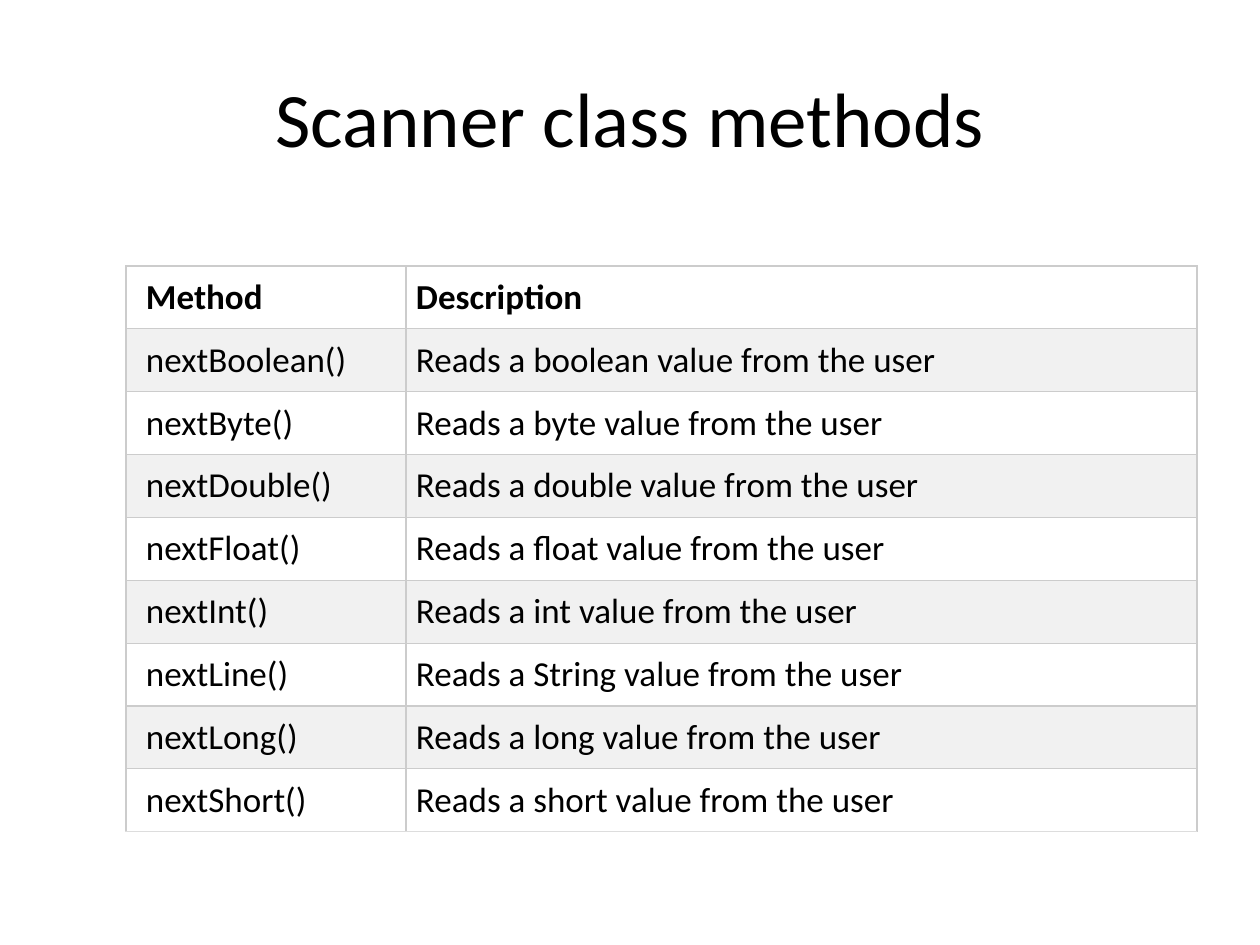
from dataclasses import dataclass

from lxml.etree import SubElement
from pptx import Presentation
from pptx.dml.color import RGBColor
from pptx.enum.text import MSO_ANCHOR, PP_ALIGN
from pptx.oxml.ns import qn
from pptx.slide import Slide
from pptx.table import _Cell
from pptx.util import Emu, Pt

EMU_PER_PX = 914400 / 126


@dataclass(frozen=True)
class Theme:
    font: str = "Calibri"
    text: str = "000000"
    plain_row: str = "FFFFFF"
    shaded_row: str = "F1F1F1"
    border: str = "CCCCCC"
    bottom_border: str = "DDDDDD"
    title_size: int = 44
    body_size: int = 20
    border_width: float = 0.75


@dataclass(frozen=True)
class Box:
    left: int
    top: int
    width: int
    height: int


@dataclass(frozen=True)
class MethodRow:
    method: str
    description: str


THEME = Theme()
SLIDE_BOX = Box(0, 0, 1260, 945)
TITLE_BOX = Box(63, 38, 1134, 157)
TABLE_BOX = Box(126, 266, 1071, 554)
COLUMN_WIDTHS = (280, 791)
ROW_HEIGHT = 55
CELL_MARGIN = 10
FIRST_COLUMN_MARGIN = 20

# The type name is held to its neighbours by no-break spaces.
VALUE_TYPES = ("boolean", "byte", "double", "float", "int", "String", "long", "short")
METHOD_NAMES = {"String": "nextLine()"}
ROWS = [MethodRow("Method", "Description")] + [
    MethodRow(
        METHOD_NAMES.get(value_type, f"next{value_type.capitalize()}()"),
        f"Reads a {value_type} value from the user",
    )
    for value_type in VALUE_TYPES
]


def px(length: int) -> Emu:
    return Emu(round(length * EMU_PER_PX))


def format_font(paragraph, size: int, bold: bool = False) -> None:
    font = paragraph.font
    font.name = THEME.font
    font.size = Pt(size)
    font.bold = bold
    font.color.rgb = RGBColor.from_string(THEME.text)


def add_borders(cell: _Cell, bottom_color: str) -> None:
    properties = cell._tc.get_or_add_tcPr()
    for side in ("L", "R", "T", "B"):
        line = SubElement(properties, qn(f"a:ln{side}"), w=str(Pt(THEME.border_width)))
        fill = SubElement(line, qn("a:solidFill"))
        color = bottom_color if side == "B" else THEME.border
        SubElement(fill, qn("a:srgbClr"), val=color)


def draw_title(slide: Slide, text: str, box: Box) -> None:
    title = slide.shapes.title
    title.left, title.top = px(box.left), px(box.top)
    title.width, title.height = px(box.width), px(box.height)
    title.text_frame.text = text
    title.text_frame.vertical_anchor = MSO_ANCHOR.MIDDLE
    paragraph = title.text_frame.paragraphs[0]
    paragraph.alignment = PP_ALIGN.CENTER
    format_font(paragraph, THEME.title_size)


def draw_cell(cell: _Cell, text: str, row: int, column: int) -> None:
    cell.text = text
    cell.margin_left = px(CELL_MARGIN if column else FIRST_COLUMN_MARGIN)
    cell.margin_right = cell.margin_top = cell.margin_bottom = px(CELL_MARGIN)
    format_font(cell.text_frame.paragraphs[0], THEME.body_size, bold=row == 0)
    is_last = row == len(ROWS) - 1
    add_borders(cell, THEME.bottom_border if is_last else THEME.border)
    cell.fill.solid()
    row_color = THEME.shaded_row if row % 2 else THEME.plain_row
    cell.fill.fore_color.rgb = RGBColor.from_string(row_color)


def draw_table(slide: Slide, rows: list[MethodRow], box: Box) -> None:
    frame = slide.shapes.add_table(
        len(rows), len(COLUMN_WIDTHS),
        px(box.left), px(box.top), px(box.width), px(box.height),
    )
    table = frame.table
    table.first_row = table.horz_banding = False
    for column, width in zip(table.columns, COLUMN_WIDTHS):
        column.width = px(width)
    for row_index, row in enumerate(rows):
        table.rows[row_index].height = px(ROW_HEIGHT)
        for column_index, text in enumerate((row.method, row.description)):
            draw_cell(table.cell(row_index, column_index), text, row_index, column_index)
    frame.height = px(box.height)


def main() -> None:
    presentation = Presentation()
    presentation.slide_width = px(SLIDE_BOX.width)
    presentation.slide_height = px(SLIDE_BOX.height)
    slide = presentation.slides.add_slide(presentation.slide_layouts[5])

    # Heading
    draw_title(slide, "Scanner class methods", TITLE_BOX)

    # Method reference
    draw_table(slide, ROWS, TABLE_BOX)

    presentation.save("out.pptx")


if __name__ == "__main__":
    main()
